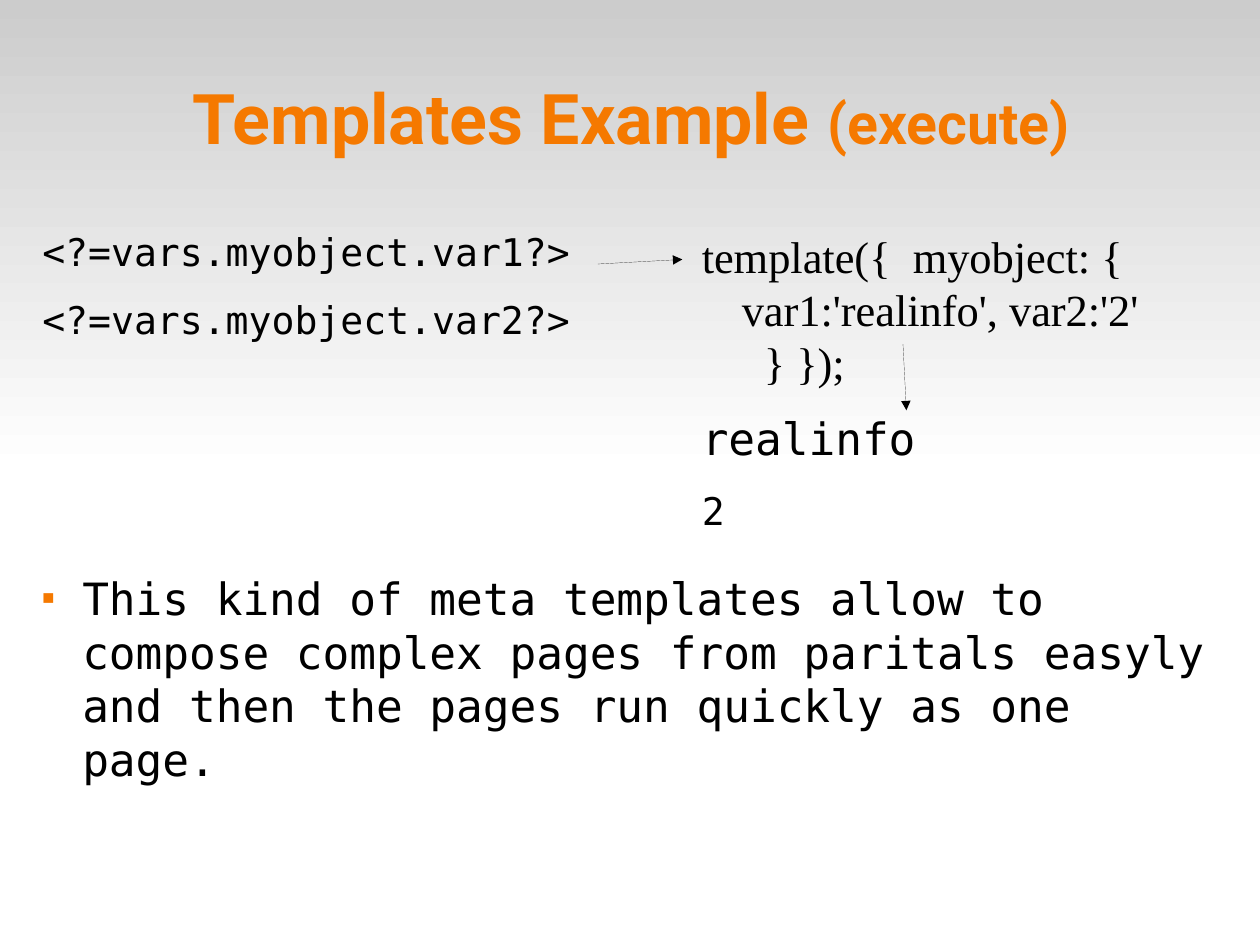
from dataclasses import dataclass

from lxml.etree import SubElement
from pptx import Presentation
from pptx.dml.color import RGBColor
from pptx.enum.shapes import MSO_CONNECTOR, MSO_SHAPE
from pptx.enum.text import MSO_ANCHOR, PP_ALIGN
from pptx.oxml.ns import qn
from pptx.util import Inches, Pt

CM_PER_INCH = 2.54


@dataclass(frozen=True)
class Theme:
    black: RGBColor = RGBColor(0x00, 0x00, 0x00)
    orange: RGBColor = RGBColor(0xF5, 0x79, 0x00)
    grey: RGBColor = RGBColor(0xCC, 0xCC, 0xCC)
    white: RGBColor = RGBColor(0xFF, 0xFF, 0xFF)
    heading: str = "Roboto"
    mono: str = "DejaVu Sans Mono"
    serif: str = "Times New Roman"
    title: float = 44
    subtitle: float = 36
    large: float = 28
    small: float = 24
    gap: float = 14.2


THEME = Theme()


@dataclass(frozen=True)
class Line:
    text: str
    size: float
    font: str = THEME.mono
    bullet: bool = False


@dataclass(frozen=True)
class Block:
    box: tuple[float, float, float, float]
    lines: tuple[Line, ...]


@dataclass(frozen=True)
class Arrow:
    start: tuple[float, float]
    end: tuple[float, float]


BLOCKS = (
    Block((0.25, 2, 5.75, 3), (
        Line("<?=vars.myobject.var1?>", THEME.small),
        Line("<?=vars.myobject.var2?>", THEME.small),
    )),
    Block((6.02, 2, 4.73, 2.75), (
        Line("template({  myobject: {\vvar1:'realinfo', var2:'2'\v  } });",
             THEME.large, THEME.serif),
        Line("realinfo", THEME.large),
        Line("2", THEME.small),
    )),
    Block((0.25, 5, 10.5, 2.75), (
        Line("This kind of meta templates allow to compose complex pages from "
             "paritals easyly and then the pages run quickly as one page.",
             THEME.large, bullet=True),
    )),
)
ARROWS = (
    Arrow((5.23, 2.31), (5.97, 2.27)),
    Arrow((7.9, 3.01), (7.93, 3.59)),
)


def add_background(s, width: int, height: int) -> None:
    sp = s.shapes.add_shape(MSO_SHAPE.RECTANGLE, 0, 0, width, height)
    sp.shadow.inherit = False
    sp.line.fill.background()
    sp.fill.gradient()
    sp.fill.gradient_angle = 270
    for stop, color, position in zip(
            sp.fill.gradient_stops, (THEME.grey, THEME.white), (0, 1)):
        stop.color.rgb = color
        stop.position = position


def add_text_frame(s, box: tuple[float, float, float, float]):
    tf = s.shapes.add_textbox(*map(Inches, box)).text_frame
    tf.word_wrap = True
    tf.margin_left = tf.margin_top = tf.margin_right = tf.margin_bottom = 0
    return tf


def style_run(r, font: str, size: float, color: RGBColor, bold: bool = False) -> None:
    r.font.name = font
    r.font.size = Pt(size)
    r.font.color.rgb = color
    r.font.bold = bold


def add_title(s) -> None:
    tf = add_text_frame(s, (0.55, 0.33, 9.95, 1.38))
    tf.vertical_anchor = MSO_ANCHOR.MIDDLE
    p = tf.paragraphs[0]
    p.alignment = PP_ALIGN.CENTER
    for text, size in (("Templates Example ", THEME.title),
                       ("(execute)", THEME.subtitle)):
        r = p.add_run()
        r.text = text
        style_run(r, THEME.heading, size, THEME.orange, bold=True)


def set_bullet(pPr) -> None:
    color = SubElement(pPr, qn("a:buClr"))
    SubElement(color, qn("a:srgbClr"), val=str(THEME.orange))
    SubElement(pPr, qn("a:buSzPct"), val="45000")
    SubElement(pPr, qn("a:buFont"), typeface=THEME.serif)
    SubElement(pPr, qn("a:buChar"), char="■")


def add_block(s, block: Block) -> None:
    tf = add_text_frame(s, block.box)
    for i, line in enumerate(block.lines):
        p = tf.add_paragraph() if i else tf.paragraphs[0]
        p.text = line.text
        p.space_after = Pt(THEME.gap)
        # Hanging indent
        pPr = p._p.get_or_add_pPr()
        pPr.set("marL", str(Inches(0.47)))
        pPr.set("indent", str(Inches(-0.35)))
        if line.bullet:
            set_bullet(pPr)
        for r in p.runs:
            style_run(r, line.font, line.size, THEME.black)


def add_arrow(s, arrow: Arrow) -> None:
    sp = s.shapes.add_connector(
        MSO_CONNECTOR.STRAIGHT, *map(Inches, arrow.start + arrow.end))
    sp.line.color.rgb = THEME.black
    # Hairline with an arrowhead
    ln = sp.line._get_or_add_ln()
    ln.set("w", "0")
    SubElement(ln, qn("a:tailEnd"), type="triangle")
    SubElement(sp._element.spPr, qn("a:effectLst"))


def main() -> None:
    prs = Presentation()
    # Slide of 28 by 21 centimetres
    prs.slide_width = Inches(28 / CM_PER_INCH)
    prs.slide_height = Inches(21 / CM_PER_INCH)
    s = prs.slides.add_slide(prs.slide_layouts[6])

    # Gradient over the upper half
    add_background(s, prs.slide_width, prs.slide_height // 2)
    add_title(s)

    # Template code, its result and the remark
    for block in BLOCKS:
        add_block(s, block)

    # Flow from code to result
    for arrow in ARROWS:
        add_arrow(s, arrow)

    prs.save("out.pptx")


if __name__ == "__main__":
    main()
